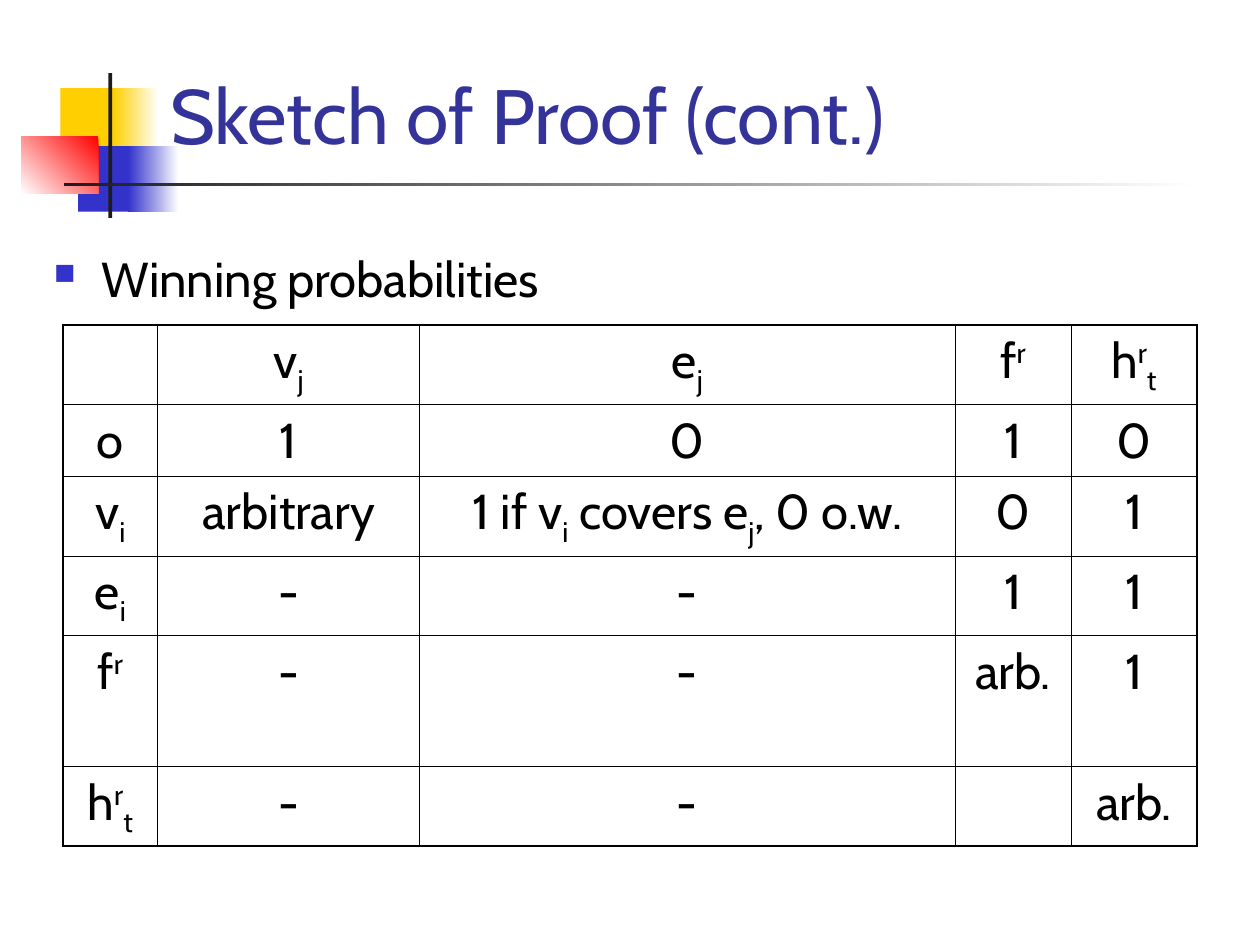
import pptx
import pptx.dml.color
import pptx.enum.shapes
import pptx.enum.text
import pptx.oxml.ns
import pptx.util
from lxml import etree

Inches = pptx.util.Inches
RGBColor = pptx.dml.color.RGBColor

WHITE = RGBColor(0xFF, 0xFF, 0xFF)
BLACK = RGBColor(0x00, 0x00, 0x00)
INK = RGBColor(0x1C, 0x1C, 0x1C)
NAVY = RGBColor(0x33, 0x33, 0x99)
BLUE = RGBColor(0x33, 0x33, 0xCC)
YELLOW = RGBColor(0xFF, 0xCF, 0x01)
RED = RGBColor(0xFF, 0x00, 0x00)

BASELINES = {"_": "-25000", "^": "30000"}


def add_element(parent, tag, **attributes):
    """Append a DrawingML element and return it."""
    return etree.SubElement(parent, pptx.oxml.ns.qn(tag), attributes)


def split_scripts(text):
    """Split text into (part, baseline) pairs; _ and ^ lower or raise the next letter."""
    parts, baseline = [], None
    for letter in text:
        if letter in BASELINES:
            baseline = BASELINES[letter]
        elif baseline or not parts or parts[-1][1]:
            parts.append((letter, baseline))
            baseline = None
        else:
            parts[-1] = (parts[-1][0] + letter, None)
    return parts


class ProofSlide:
    """Holds the style and the current slide."""

    font = "Cabin"
    title_size = 44
    text_size = 28
    inner_line = 0.45
    outer_line = 1.08

    def __init__(self, presentation):
        """Start a slide on the title-only layout."""
        self.slide = presentation.slides.add_slide(presentation.slide_layouts[5])

    def style(self, font, size, color):
        """Apply the slide font with a size and a colour."""
        font.name = self.font
        font.size = pptx.util.Pt(size)
        font.color.rgb = color

    def block(self, left, top, width, height, start, end=None, angle=180):
        """Draw a rectangle, plain or with a gradient from start to end."""
        block = self.slide.shapes.add_shape(
            pptx.enum.shapes.MSO_SHAPE.RECTANGLE,
            Inches(left), Inches(top), Inches(width), Inches(height))
        block.shadow.inherit = False
        block.line.fill.background()
        if end is None:
            block.fill.solid()
            block.fill.fore_color.rgb = start
        else:
            block.fill.gradient()
            block.fill.gradient_angle = angle
            for stop, color in zip(block.fill.gradient_stops, (start, end)):
                stop.color.rgb = color

    def title(self, left, top, width, height, text):
        """Place the title placeholder in front of the ornament."""
        title = self.slide.shapes.title
        title.left, title.top = Inches(left), Inches(top)
        title.width, title.height = Inches(width), Inches(height)
        frame = title.text_frame
        frame.text = text
        frame.word_wrap = True
        frame.auto_size = pptx.enum.text.MSO_AUTO_SIZE.NONE
        frame.vertical_anchor = pptx.enum.text.MSO_ANCHOR.BOTTOM
        frame.paragraphs[0].alignment = pptx.enum.text.PP_ALIGN.LEFT
        self.style(frame.paragraphs[0].runs[0].font, self.title_size, NAVY)
        self.slide.shapes.element.append(title.element)

    def bullet(self, left, top, width, height, text):
        """Add a text box with one square-bulleted line."""
        box = self.slide.shapes.add_textbox(
            Inches(left), Inches(top), Inches(width), Inches(height))
        box.text_frame.word_wrap = True
        paragraph = box.text_frame.paragraphs[0]
        paragraph.text = text
        properties = paragraph._p.get_or_add_pPr()
        properties.set("marL", str(Inches(0.38)))
        properties.set("indent", str(Inches(-0.38)))
        add_element(add_element(properties, "a:buClr"), "a:srgbClr", val=str(BLUE))
        add_element(properties, "a:buSzPct", val="60000")
        add_element(properties, "a:buChar", char="■")
        self.style(paragraph.runs[0].font, self.text_size, BLACK)

    def borders(self, cell, outer_sides):
        """Draw the four borders of a cell, heavier on the outer sides."""
        properties = cell._tc.get_or_add_tcPr()
        for side in "LRTB":
            weight = self.outer_line if side in outer_sides else self.inner_line
            line = add_element(properties, f"a:ln{side}", w=str(pptx.util.Pt(weight)))
            add_element(add_element(line, "a:solidFill"), "a:srgbClr", val=str(BLACK))

    def table(self, left, top, widths, heights, rows):
        """Add a plain ruled table of centred text."""
        table = self.slide.shapes.add_table(
            len(heights), len(widths), Inches(left), Inches(top),
            Inches(sum(widths)), Inches(sum(heights))).table
        table.first_row = table.horz_banding = False
        for column, width in zip(table.columns, widths):
            column.width = Inches(width)
        for row, height in zip(table.rows, heights):
            row.height = Inches(height)
        for r, row in enumerate(rows):
            for c, text in enumerate(row):
                cell = table.cell(r, c)
                edges = {"L": c == 0, "R": c == len(widths) - 1,
                         "T": r == 0, "B": r == len(heights) - 1}
                self.borders(cell, [side for side in edges if edges[side]])
                cell.fill.background()
                paragraph = cell.text_frame.paragraphs[0]
                paragraph.alignment = pptx.enum.text.PP_ALIGN.CENTER
                for part, baseline in split_scripts(text):
                    run = paragraph.add_run()
                    run.text = part
                    self.style(run.font, self.text_size, BLACK)
                    if baseline:
                        run._r.get_or_add_rPr().set("baseline", baseline)


def main():
    """Build the slide and save it."""
    presentation = pptx.Presentation()
    presentation.slide_width, presentation.slide_height = Inches(10), Inches(7.5)
    proof = ProofSlide(presentation)

    proof.block(0.48, 0.7, 0.48, 0.52, YELLOW)
    proof.block(0.9, 0.7, 0.36, 0.52, WHITE, YELLOW)
    proof.block(0.62, 1.16, 0.46, 0.52, BLUE)
    proof.block(1.02, 1.16, 0.4, 0.52, WHITE, BLUE)
    proof.block(0.17, 1.08, 0.61, 0.46, RED, WHITE, angle=225)
    proof.block(0.86, 0.58, 0.03, 1.15, INK)
    proof.block(0.51, 1.45, 9, 0.03, WHITE, INK)

    proof.title(1.25, 0.33, 8.52, 0.99, "Sketch of Proof (cont.)")
    proof.bullet(0.33, 1.92, 4.75, 4.75, "Winning probabilities")
    proof.table(
        0.5, 2.58,
        widths=[0.75, 2.08, 4.25, 0.92, 1],
        heights=[0.63, 0.57, 0.63, 0.63, 1.04, 0.63],
        rows=[
            ["", "v_j", "e_j", "f^r", "h^r_t"],
            ["o", "1", "0", "1", "0"],
            ["v_i", "arbitrary", "1 if v_i covers e_j, 0 o.w.", "0", "1"],
            ["e_i", "-", "-", "1", "1"],
            ["f^r", "-", "-", "arb.", "1"],
            ["h^r_t", "-", "-", "", "arb."],
        ])
    presentation.save("out.pptx")


if __name__ == "__main__":
    main()
